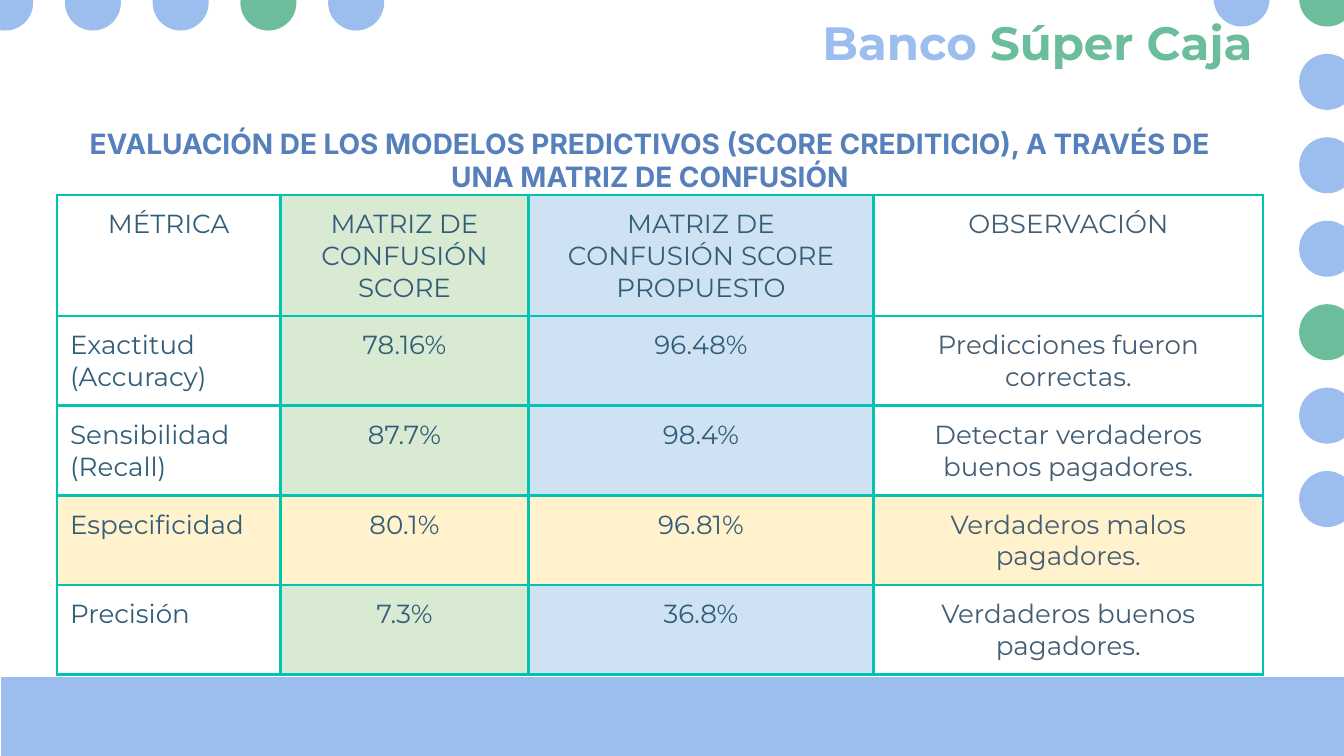
from dataclasses import dataclass

from lxml import etree
from pptx import Presentation
from pptx.dml.color import RGBColor
from pptx.enum.shapes import MSO_SHAPE
from pptx.enum.text import MSO_ANCHOR, PP_ALIGN
from pptx.oxml.ns import qn
from pptx.util import Pt

RECT, OVAL = MSO_SHAPE.RECTANGLE, MSO_SHAPE.OVAL
TOP = MSO_ANCHOR.TOP
LEFT, CENTER = PP_ALIGN.LEFT, PP_ALIGN.CENTER


@dataclass(frozen=True)
class Theme:
    """Colours, fonts and type sizes of the slide."""
    blue: str = "9BBEEE"
    green: str = "6BBD9B"
    head: str = "5680BC"
    ink: str = "325D79"
    slate: str = "435D74"
    grid: str = "00C3B1"
    mint: str = "D9EAD3"
    sky: str = "CFE2F3"
    cream: str = "FFF2CC"
    body: str = "Montserrat"
    sans: str = "Inter"
    brand: float = 25
    title: float = 15
    cell: float = 14
    rule: float = 1.5
    inset: float = 7.2


THEME = Theme()
METRICS = [
    ["MÉTRICA", "MATRIZ DE CONFUSIÓN\nSCORE",
     "MATRIZ DE CONFUSIÓN SCORE PROPUESTO", "OBSERVACIÓN"],
    ["Exactitud (Accuracy)", "78.16%", "96.48%", "Predicciones fueron correctas."],
    ["Sensibilidad (Recall)", "87.7%", "98.4%", "Detectar verdaderos buenos pagadores."],
    ["Especificidad", "80.1%", "96.81%", "Verdaderos malos pagadores."],
    ["Precisión", "7.3%", "36.8%", "Verdaderos buenos pagadores."],
]
KEY_ROW = 3


def add_run(para, text, font, size, color, bold=False):
    """Append one formatted run."""
    run = para.add_run()
    run.text = text
    run.font.name, run.font.size, run.font.bold = font, Pt(size), bold
    run.font.color.rgb = RGBColor.from_string(color)


def set_frame(frame):
    """Give a text frame its insets, wrapping and top anchor."""
    frame.margin_left = frame.margin_right = Pt(THEME.inset)
    frame.margin_top = frame.margin_bottom = Pt(THEME.inset)
    frame.word_wrap = True
    frame.vertical_anchor = TOP


def add_solid(slide, kind, box, color):
    """Add a plain filled shape."""
    shape = slide.shapes.add_shape(kind, *map(Pt, box))
    shape.shadow.inherit = False
    shape.fill.solid()
    shape.fill.fore_color.rgb = RGBColor.from_string(color)
    shape.line.fill.background()
    return shape


def add_band(slide, box):
    """Draw the footer band."""
    band = add_solid(slide, RECT, box, THEME.blue)
    band.line.color.rgb = RGBColor.from_string(THEME.blue)
    band.line.width = Pt(0.75)


def add_dots(slide, box, step, count, greens):
    """Repeat a dot from its first box by an x and y step."""
    left, top, width, height = box
    for i in range(count):
        spot = (left + i * step[0], top + i * step[1], width, height)
        add_solid(slide, OVAL, spot, THEME.green if i in greens else THEME.blue)


def add_brand(slide, box):
    """Place the two-colour bank name in the title."""
    title = slide.shapes.title
    title.left, title.top, title.width, title.height = map(Pt, box)
    set_frame(title.text_frame)
    para = title.text_frame.paragraphs[0]
    para.alignment = LEFT
    for text, color in (("Banco ", THEME.blue), ("Súper Caja", THEME.green)):
        add_run(para, text, THEME.body, THEME.brand, color, True)


def add_heading(slide, box):
    """Place the heading above the table."""
    frame = slide.shapes.add_textbox(*map(Pt, box)).text_frame
    set_frame(frame)
    para = frame.paragraphs[0]
    para.alignment = CENTER
    add_run(para, "EVALUACIÓN DE LOS MODELOS PREDICTIVOS (SCORE CREDITICIO), "
            "A TRAVÉS DE UNA MATRIZ DE CONFUSIÓN",
            THEME.sans, THEME.title, THEME.head, True)


def set_grid(cell):
    """Draw the four borders of a cell."""
    props = cell._tc.get_or_add_tcPr()
    for side in ("a:lnL", "a:lnR", "a:lnT", "a:lnB"):
        line = etree.SubElement(props, qn(side), w=str(Pt(THEME.rule)))
        fill = etree.SubElement(line, qn("a:solidFill"))
        etree.SubElement(fill, qn("a:srgbClr"), val=THEME.grid)


def fill_cell(cell, text, align, ink, back):
    """Write and format one table cell."""
    set_grid(cell)
    if back:
        cell.fill.solid()
        cell.fill.fore_color.rgb = RGBColor.from_string(back)
    else:
        cell.fill.background()
    cell.margin_left = cell.margin_right = Pt(THEME.inset)
    cell.margin_top = cell.margin_bottom = Pt(THEME.inset)
    cell.vertical_anchor = TOP
    for i, part in enumerate(text.split("\n")):
        frame = cell.text_frame
        para = frame.add_paragraph() if i else frame.paragraphs[0]
        para.alignment = align
        add_run(para, part, THEME.body, THEME.cell, ink)


def add_metrics(slide, box, widths, heights):
    """Build the table that compares both models."""
    table = slide.shapes.add_table(len(heights), len(widths), *map(Pt, box)).table
    table.first_row = table.horz_banding = False
    for col, width in zip(table.columns, widths):
        col.width = Pt(width)
    for row, height in zip(table.rows, heights):
        row.height = Pt(height)
    backs = (None, THEME.mint, THEME.sky, None)
    for r, texts in enumerate(METRICS):
        for c, text in enumerate(texts):
            align = LEFT if r and c == 0 else CENTER
            ink = THEME.slate if c == 3 else THEME.ink
            back = THEME.cream if r == KEY_ROW else backs[c]
            fill_cell(table.cell(r, c), text, align, ink, back)


def main():
    """Build and save the slide."""
    deck = Presentation()
    deck.slide_width, deck.slide_height = Pt(720), Pt(405)
    slide = deck.slides.add_slide(deck.slide_layouts[5])
    add_band(slide, (0.7, 363.3, 719.3, 41.7))
    add_dots(slide, (696, -15.8, 30, 30), (0, 44.7), 7, (0, 4))
    add_dots(slide, (650.2, -15.8, 30, 30), (0, 0), 1, ())
    add_dots(slide, (-12.2, -13.6, 30, 30), (47, 0), 5, (3,))
    add_brand(slide, (433.4, 0, 400, 66))
    add_heading(slide, (30.2, 60.5, 636, 51))
    widths, heights = (120, 132.7, 185, 208.6), (64.5, 48, 48, 48, 48)
    add_metrics(slide, (30.4, 104.4, sum(widths), sum(heights)), widths, heights)
    deck.save("out.pptx")


if __name__ == "__main__":
    main()
